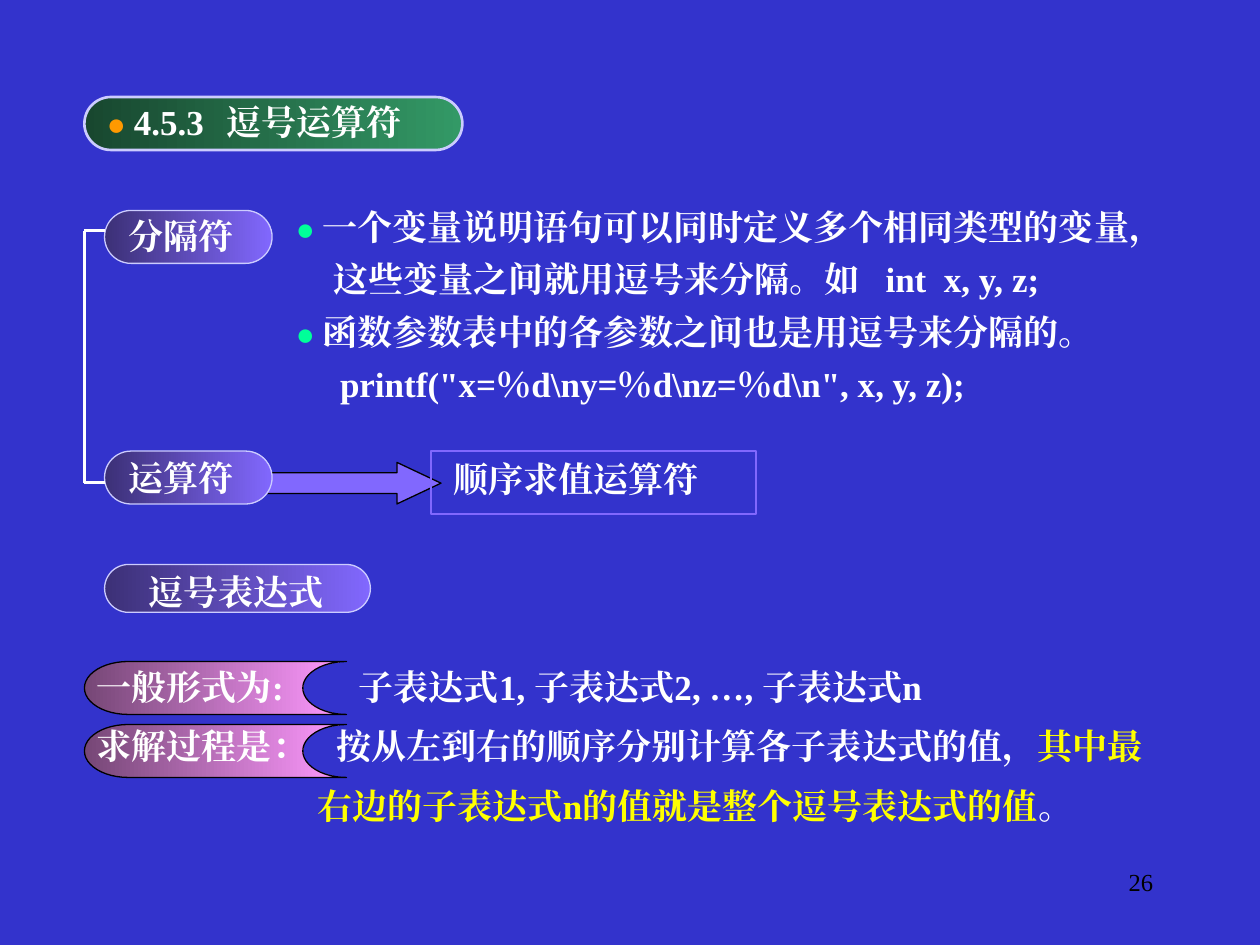
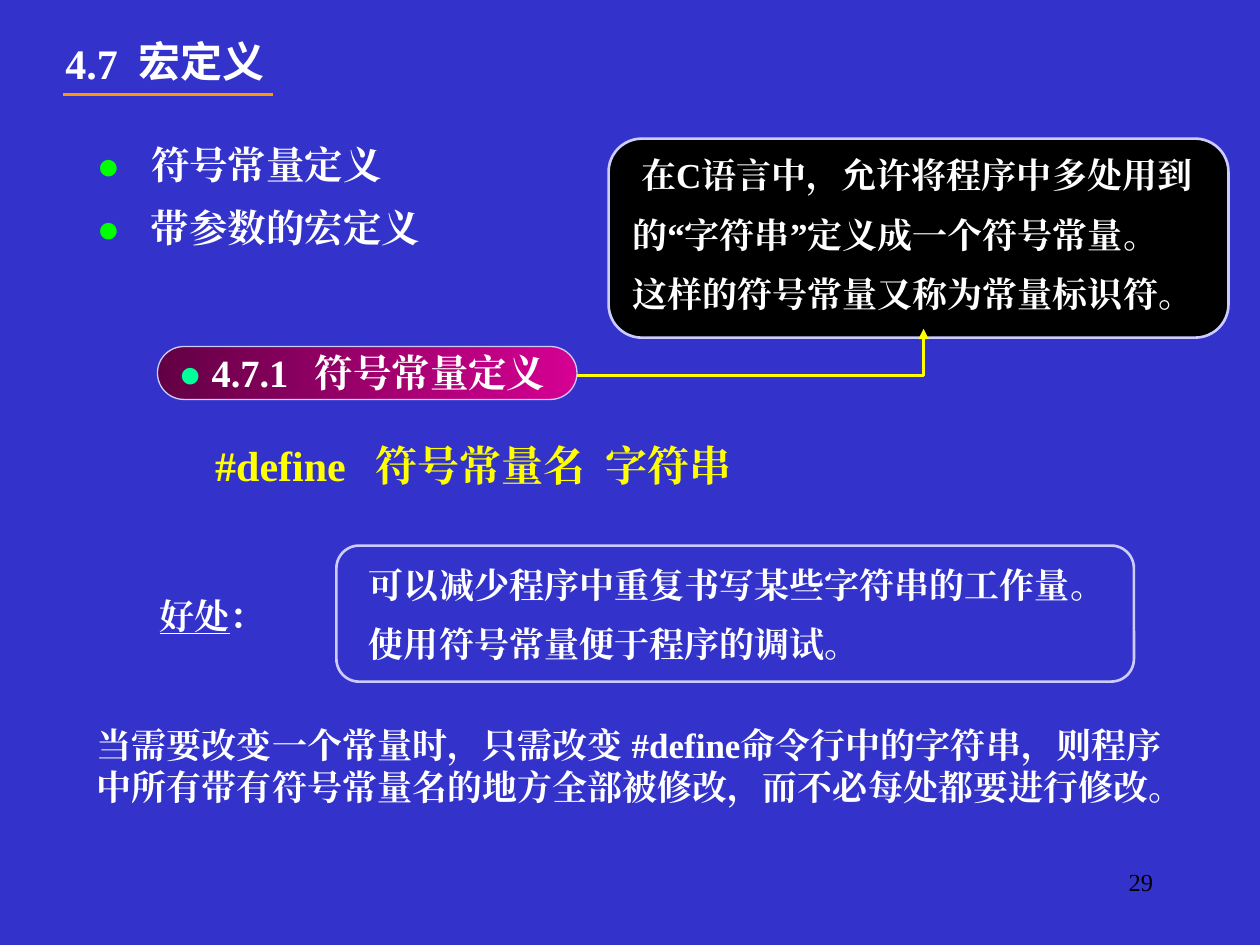
"""Build two lecture slides on the comma operator and macro definitions."""
import pptx
import pptx.dml.color
import pptx.enum.dml
import pptx.enum.shapes
import pptx.enum.text
import pptx.oxml
import pptx.oxml.ns
import pptx.util
from pptx.dml.color import RGBColor
from pptx.enum.shapes import MSO_SHAPE
from pptx.util import Inches

BLUE = RGBColor(0x33, 0x33, 0xCC)
WHITE = RGBColor(0xFF, 0xFF, 0xFF)
BLACK = RGBColor(0x00, 0x00, 0x00)
LAVENDER = RGBColor(0xCC, 0xCC, 0xFF)
VIOLET = RGBColor(0x81, 0x68, 0xFE)
DARK_VIOLET = RGBColor(0x3C, 0x30, 0x76)
GREEN = RGBColor(0x33, 0x99, 0x66)
DARK_GREEN = RGBColor(0x18, 0x47, 0x2F)
PINK = RGBColor(0xFF, 0x99, 0xFF)
DARK_PINK = RGBColor(0x76, 0x47, 0x76)
MAGENTA = RGBColor(0xD6, 0x00, 0x93)
DARK_MAGENTA = RGBColor(0x63, 0x00, 0x44)
MINT = RGBColor(0x00, 0xFF, 0x99)
LIME = RGBColor(0x00, 0xFF, 0x00)
ORANGE = RGBColor(0xFF, 0x99, 0x00)
YELLOW = RGBColor(0xFF, 0xFF, 0x00)

SERIF = "Times New Roman"
LINE_HEIGHT = 1.2
TIGHT, LOOSE = 0.3, 0.5


def style(color=WHITE, size=20, **changes):
    """Return the character format of a span."""
    return {"name": SERIF, "size": size, "bold": True, "color": color, **changes}


def dot(color, size=18):
    """Return a round marker span."""
    return ("● ", style(color, size, bold=False))


BODY = style()
KEY = style(YELLOW)
HEADING = style(size=22)
TITLE = style(size=24)
NUMBER = style(BLACK, 14, bold=False)

PILL = {"kind": MSO_SHAPE.ROUNDED_RECTANGLE, "adjust": (0.5,), "line": LAVENDER, "weight": 0.75}
VIOLET_PILL = {**PILL, "fill": (DARK_VIOLET, VIOLET)}
SECTION_PILL = {**PILL, "fill": (DARK_GREEN, GREEN), "weight": 1.5}
MACRO_PILL = {**PILL, "fill": (DARK_MAGENTA, MAGENTA)}
ARROW = {"kind": MSO_SHAPE.RIGHT_ARROW, "adjust": (0.5, 1.06), "fill": (VIOLET,),
         "line": BLACK, "weight": 0.75}
FRAME = {"kind": MSO_SHAPE.RECTANGLE, "line": VIOLET, "weight": 1.5}
LABEL = {"kind": MSO_SHAPE.FLOWCHART_STORED_DATA, "fill": (DARK_PINK, PINK),
         "line": BLACK, "weight": 0.75}
PANEL = {"kind": MSO_SHAPE.ROUNDED_RECTANGLE, "adjust": (0.167,), "line": LAVENDER, "weight": 1.5}
NOTE_PANEL = {**PANEL, "fill": (BLACK,)}

STRAIGHT = {"color": WHITE, "weight": 1.5}
RULE = {"color": ORANGE, "weight": 2.25}
BENT_ARROW = {"color": YELLOW, "weight": 1.5, "bent": True}

COMMA_PAGE = {
    "number": "26",
    "shapes": [
        ((0.83, 1.67, 1.33, 0.42), VIOLET_PILL),
        ((0.67, 0.77, 3, 0.42), SECTION_PILL),
        ((0.83, 4.48, 2.11, 0.38), VIOLET_PILL),
        ((2.08, 3.67, 1.42, 0.33), ARROW),
        ((3.42, 3.58, 2.58, 0.5), FRAME),
        ((0.67, 5.75, 2.08, 0.42), LABEL),
        ((0.67, 5.25, 2.08, 0.42), LABEL),
        ((0.83, 3.58, 1.33, 0.42), VIOLET_PILL),
    ],
    "lines": [
        ((0.67, 1.83, 0.83, 1.83), STRAIGHT),
        ((0.67, 1.83, 0.67, 3.83), STRAIGHT),
        ((0.67, 3.83, 0.83, 3.83), STRAIGHT),
    ],
    "texts": [
        ((0.75, 0.75, 2.92, 0.43), LOOSE, [
            ((0.95,), [dot(ORANGE), ("4.5.3\t逗号运算符", BODY)])]),
        ((0.92, 1.65, 1.08, 0.43), TIGHT, [((), [("分隔符", BODY)])]),
        ((2.25, 1.58, 7.25, 1.74), TIGHT, [
            ((), [dot(MINT), ("一个变量说明语句可以同时定义多个相同类型的变量，", BODY)]),
            ((0.3, 4.68), [("\t这些变量之间就用逗号来分隔。如\tint  x, y, z;", BODY)]),
            ((), [dot(MINT), ("函数参数表中的各参数之间也是用逗号来分隔的。", BODY)]),
            ((0.35,), [("\t" r'printf("x=％d\ny=％d\nz=％d\n", x, y, z);', BODY)])]),
        ((0.92, 3.57, 1.08, 0.43), TIGHT, [((), [("运算符", BODY)])]),
        ((3.5, 3.58, 2.25, 0.43), LOOSE, [((), [("顺序求值运算符", BODY)])]),
        ((1.08, 4.48, 1.73, 0.43), TIGHT, [((), [("逗号表达式", BODY)])]),
        ((0.67, 5.23, 8.83, 1.43), LOOSE, [
            ((2.08,), [("一般形式为:\t子表达式1, 子表达式2, …, 子表达式n", BODY)]),
            ((1.9,), [("求解过程是：\t按从左到右的顺序分别计算各子表达式的值，", BODY),
                      ("其中最", KEY)]),
            ((1.75,), [("\t右边的子表达式n的值就是整个逗号表达式的值", KEY), ("。", BODY)])]),
    ],
}

MACRO_PAGE = {
    "number": "29",
    "shapes": [
        ((1.25, 2.75, 3.33, 0.42), MACRO_PILL),
        ((4.83, 1.1, 4.92, 1.58), NOTE_PANEL),
        ((2.67, 4.33, 6.33, 1.08), PANEL),
    ],
    "lines": [
        ((2.17, 0.75, 0.5, 0.75), RULE),
        ((4.58, 2.98, 7.33, 2.61), BENT_ARROW),
    ],
    "texts": [
        ((0.42, 0.25, 0.92, 0.5), TIGHT, [((), [("4.7", TITLE)])]),
        ((1, 0.23, 1.5, 0.5), TIGHT, [((), [("宏定义", {**TITLE, "name": "Arial"})])]),
        ((0.67, 1.07, 2.99, 0.47), LOOSE, [
            ((0.43,), [dot(LIME, 22), ("\t符号常量定义", HEADING)])]),
        ((0.67, 1.57, 3.07, 0.47), LOOSE, [
            ((0.43,), [dot(LIME, 22), ("\t带参数的宏定义", HEADING)])]),
        ((4.92, 1.17, 4.83, 1.45), LOOSE, [
            ((), [(" 在C语言中，允许将程序中多处用到", BODY)]),
            ((), [("的“字符串”定义成一个符号常量。", BODY)]),
            ((), [("这样的符号常量又称为常量标识符。", BODY)])]),
        ((1.32, 2.72, 3.39, 0.47), TIGHT, [
            ((1.08,), [dot(MINT, 22), ("4.7.1\t符号常量定义", HEADING)])]),
        ((1.61, 3.44, 5.36, 0.5), LOOSE, [
            ((1.27, 3.1), [("#define\t符号常量名\t字符串", style(YELLOW, 24))])]),
        ((1.17, 4.67, 1.33, 0.43), LOOSE, [
            ((), [("好处", style(underline=True)), ("：", BODY)])]),
        ((2.83, 4.42, 6.5, 0.93), LOOSE, [
            ((), [("可以减少程序中重复书写某些字符串的工作量。", BODY)]),
            ((), [("使用符号常量便于程序的调试。", BODY)])]),
        ((0.67, 5.69, 8.73, 0.77), TIGHT, [
            ((), [("当需要改变一个常量时，只需改变 #define命令行中的字符串，"
                   "则程序中所有带有符号常量名的地方全部被修改，而不必每处都要进行修改。", BODY)])]),
    ],
}


def add_element(parent, tag, **attributes):
    """Append a drawing element to a parent and return it."""
    element = parent.makeelement(pptx.oxml.ns.qn(tag), attributes)
    parent.append(element)
    return element


def draw_shape(page, place, look):
    """Draw a preset shape with a plain, gradient or empty fill."""
    shape = page.shapes.add_shape(look["kind"], *map(Inches, place))
    shape.shadow.inherit = False
    for index, value in enumerate(look.get("adjust", ())):
        shape.adjustments[index] = value
    colors = look.get("fill", ())
    if len(colors) == 2:
        shape.fill.gradient()
        shape.fill.gradient_angle = 0
        for stop, color in zip(shape.fill.gradient_stops, colors):
            stop.color.rgb = color
    elif colors:
        shape.fill.solid()
        shape.fill.fore_color.rgb = colors[0]
    else:
        shape.fill.background()
    shape.line.color.rgb = look["line"]
    shape.line.width = pptx.util.Pt(look["weight"])


def draw_line(page, ends, look):
    """Draw a straight line or a bent arrow."""
    kinds = pptx.enum.shapes.MSO_CONNECTOR
    bent = look.get("bent", False)
    line = page.shapes.add_connector(kinds.ELBOW if bent else kinds.STRAIGHT, *map(Inches, ends))
    line.line.color.rgb = look["color"]
    line.line.width = pptx.util.Pt(look["weight"])
    properties = line._element.spPr
    if bent:
        properties.find(pptx.oxml.ns.qn("a:prstGeom")).set("prst", "bentConnector2")
        add_element(properties.find(pptx.oxml.ns.qn("a:ln")), "a:tailEnd", type="triangle")
    add_element(properties, "a:effectLst")


def write_span(para, text, look):
    """Add one formatted span to a paragraph."""
    span = para.add_run()
    span.text = text
    for key, value in look.items():
        if key == "color":
            span.font.color.rgb = value
        else:
            setattr(span.font, key, pptx.util.Pt(value) if key == "size" else value)
    add_element(span._r.get_or_add_rPr(), "a:ea", typeface=look["name"])


def write_text(page, place, gap, paragraphs, align=None):
    """Add a text box; the gap is a share of the text size."""
    box = page.shapes.add_textbox(*map(Inches, place))
    box.text_frame.word_wrap = True
    for index, (tabs, spans) in enumerate(paragraphs):
        para = box.text_frame.add_paragraph() if index else box.text_frame.paragraphs[0]
        if tabs:
            stops = add_element(para._p.get_or_add_pPr(), "a:tabLst")
            for tab in tabs:
                add_element(stops, "a:tab", pos=str(Inches(tab)), algn="l")
        size = spans[-1][1]["size"]
        para.alignment = align
        para.line_spacing = pptx.util.Pt(LINE_HEIGHT * size)
        if index:
            para.space_before = pptx.util.Pt(gap * size)
        for text, look in spans:
            write_span(para, text, look)


def build_page(deck, content):
    """Add one slide with its shapes, lines, texts and number."""
    page = deck.slides.add_slide(deck.slide_layouts[6])
    page.background.fill.solid()
    page.background.fill.fore_color.rgb = BLUE
    for place, look in content["shapes"]:
        draw_shape(page, place, look)
    for ends, look in content["lines"]:
        draw_line(page, ends, look)
    for place, gap, paragraphs in content["texts"]:
        write_text(page, place, gap, paragraphs)
    write_text(page, (7.17, 6.83, 2.08, 0.5), 0, [((), [(content["number"], NUMBER)])],
               pptx.enum.text.PP_ALIGN.RIGHT)


def main():
    """Build and save the deck."""
    deck = pptx.Presentation()
    deck.slide_width, deck.slide_height = Inches(10), Inches(7.5)
    for content in (COMMA_PAGE, MACRO_PAGE):
        build_page(deck, content)
    deck.save("out.pptx")


if __name__ == "__main__":
    main()
